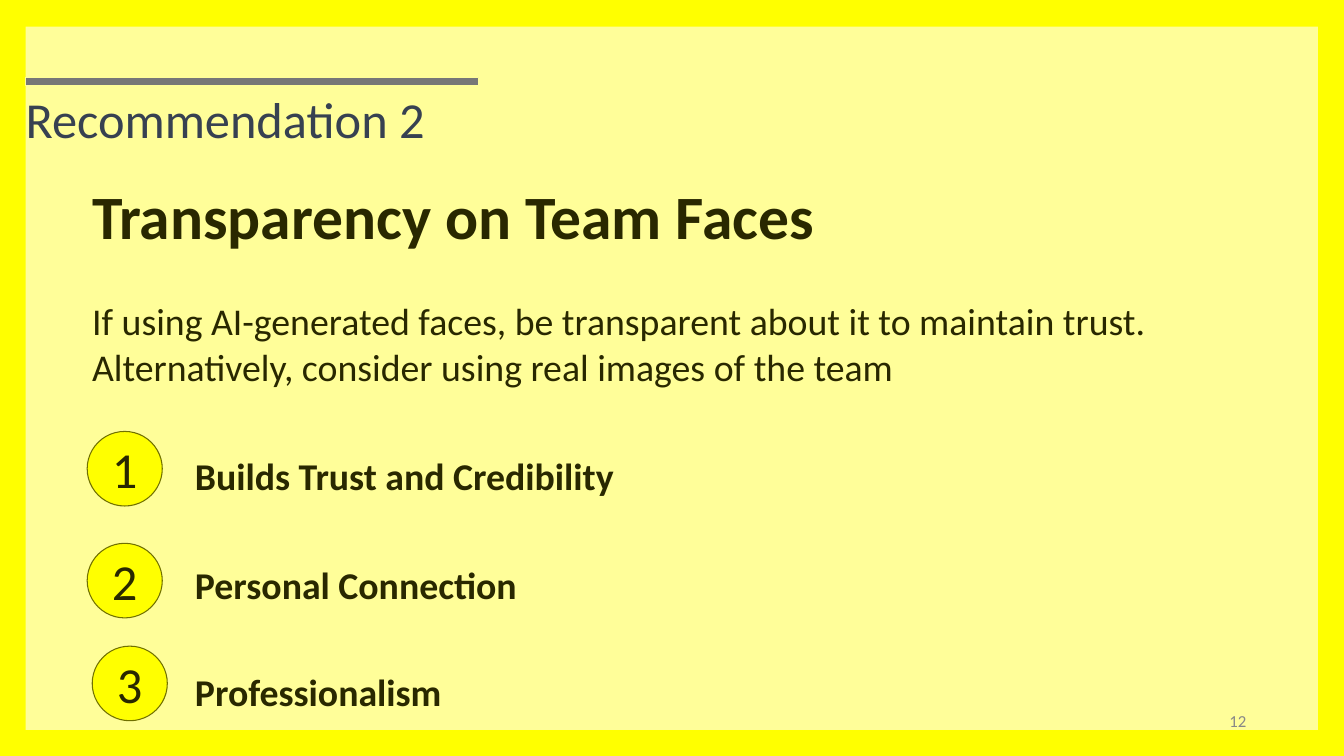
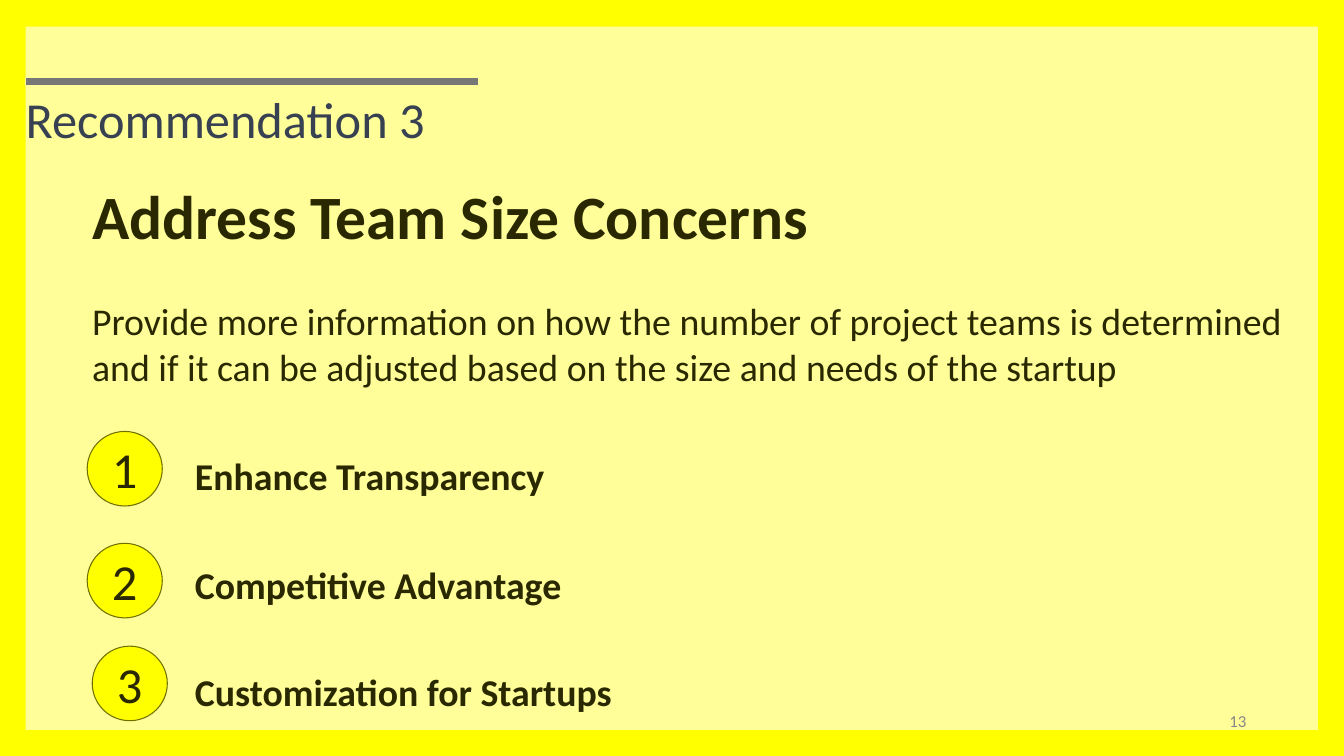
from pptx import Presentation
from pptx.dml.color import RGBColor
from pptx.enum.shapes import MSO_SHAPE as SHAPE
from pptx.enum.text import MSO_ANCHOR as ANCHOR, MSO_AUTO_SIZE as FIT, PP_ALIGN as ALIGN
from pptx.util import Inches, Pt

FONT = "Calibri"
COLORS = {
    "yellow": "FFFF00",
    "panel": "FFFE99",
    "bar": "777777",
    "title": "374151",
    "text": "292800",
    "outline": "707000",
    "number": "888888",
}

# Top of each numbered point: circle left, circle top, label top
POINT_SPOTS = [(1.73, 8.56, 8.93), (1.73, 10.78, 11.09), (1.83, 12.82, 13.22)]

SLIDES = [
    {
        "title": "Recommendation 2",
        "number": 12,
        "heading": "Transparency on Team Faces",
        "body": "If using AI-generated faces, be transparent about it to maintain trust. "
                "Alternatively, consider using real images of the team",
        "width": 24.24,
        "points": ["Builds Trust and Credibility", "Personal Connection", "Professionalism"],
    },
    {
        "title": "Recommendation 3",
        "number": 13,
        "heading": "Address Team Size Concerns",
        "body": "Provide more information on how the number of project teams is determined "
                "and if it can be adjusted based on the size and needs of the startup",
        "width": 24.19,
        "points": ["Enhance Transparency", "Competitive Advantage", "Customization for Startups"],
    },
]


def rgb(name):
    return RGBColor.from_string(COLORS[name])


class Deck:
    def __init__(self, width, height):
        self.prs = Presentation()
        self.prs.slide_width = Inches(width)
        self.prs.slide_height = Inches(height)
        self.s = None

    def new_slide(self):
        """Start a slide with the yellow frame, pale panel and title bar."""
        self.s = self.prs.slides.add_slide(self.prs.slide_layouts[6])
        fill = self.s.background.fill
        fill.solid()
        fill.fore_color.rgb = rgb("yellow")
        self.shape(SHAPE.RECTANGLE, (0.51, 0.53, 25.64, 13.95), "panel")
        self.shape(SHAPE.RECTANGLE, (0.5, 1.53, 9, 0.16), "bar", "panel", 0.79)

    def shape(self, kind, box, fill, line=None, line_width=1):
        sp = self.s.shapes.add_shape(kind, *map(Inches, box))
        sp.shadow.inherit = False
        sp.fill.solid()
        sp.fill.fore_color.rgb = rgb(fill)
        if line:
            sp.line.color.rgb = rgb(line)
            sp.line.width = Pt(line_width)
        else:
            sp.line.fill.background()
        return sp

    def run(self, p, text, size, color="text", bold=False):
        r = p.add_run()
        r.text = text
        r.font.name = FONT
        r.font.size = Pt(size)
        r.font.bold = bold
        r.font.color.rgb = rgb(color)

    def text_box(self, box, anchor=ANCHOR.TOP, fit=FIT.SHAPE_TO_FIT_TEXT, inset=0.05):
        tf = self.s.shapes.add_textbox(*map(Inches, box)).text_frame
        tf.word_wrap = True
        tf.auto_size = fit
        tf.vertical_anchor = anchor
        tf.margin_top = tf.margin_bottom = Inches(inset)
        return tf

    def title(self, text):
        tf = self.text_box((0.41, 1.12, 22.26, 1.95), ANCHOR.BOTTOM, FIT.NONE, 0.1)
        p = tf.paragraphs[0]
        p.line_spacing = 0.9
        self.run(p, text, 72, "title")

    def page_number(self, number):
        tf = self.text_box((24.28, 14.04, 0.55, 0.53), ANCHOR.MIDDLE, FIT.NONE, 0.1)
        p = tf.paragraphs[0]
        p.alignment = ALIGN.RIGHT
        self.run(p, str(number), 24, "number")

    def message(self, heading, body, width):
        tf = self.text_box((1.73, 3.48, width, 4.31))
        self.run(tf.paragraphs[0], heading, 88, bold=True)
        p = tf.add_paragraph()
        p.space_before = Pt(66)
        self.run(p, body, 54)

    def point(self, number, text, left, top, label_top):
        sp = self.shape(SHAPE.FLOWCHART_CONNECTOR, (left, top, 1.49, 1.48),
                        "yellow", "outline", 1.5)
        tf = sp.text_frame
        tf.vertical_anchor = ANCHOR.MIDDLE
        p = tf.paragraphs[0]
        p.alignment = ALIGN.CENTER
        self.run(p, str(number), 72)

        label = self.text_box((3.77, label_top, 13.39, 1.01))
        self.run(label.paragraphs[0], text, 54, bold=True)


def main():
    deck = Deck(26.67, 15)
    for content in SLIDES:
        deck.new_slide()
        deck.title(content["title"])
        deck.page_number(content["number"])
        deck.message(content["heading"], content["body"], content["width"])
        # Numbered points
        for i, (text, spot) in enumerate(zip(content["points"], POINT_SPOTS), 1):
            deck.point(i, text, *spot)
    deck.prs.save("out.pptx")


if __name__ == "__main__":
    main()
